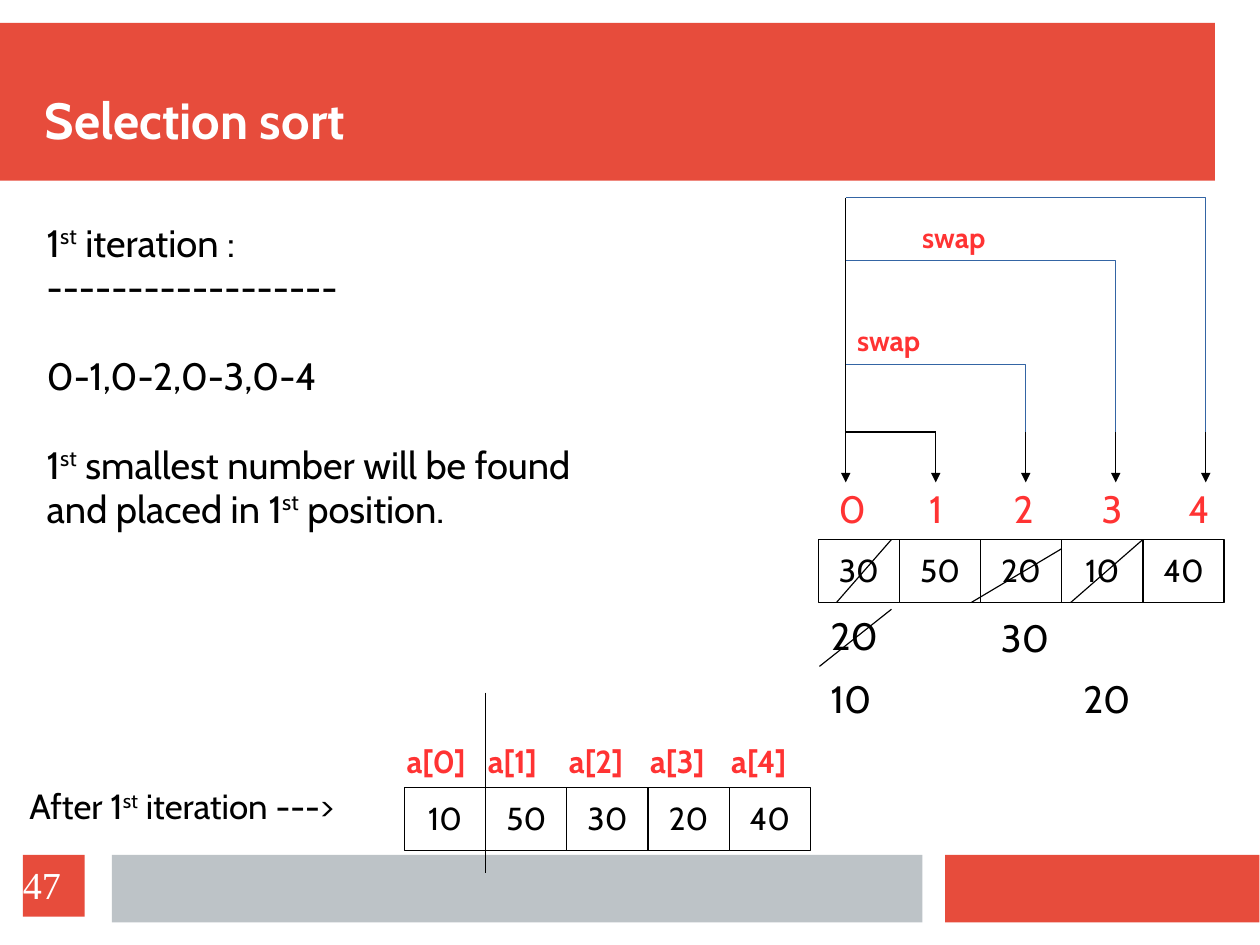
from dataclasses import dataclass

from lxml import etree
from pptx import Presentation
from pptx.dml.color import RGBColor
from pptx.enum.shapes import MSO_CONNECTOR, MSO_SHAPE
from pptx.enum.text import MSO_ANCHOR, PP_ALIGN
from pptx.oxml.ns import qn
from pptx.util import Emu, Inches, Pt

RECT = MSO_SHAPE.RECTANGLE
STRAIGHT, ELBOW = MSO_CONNECTOR.STRAIGHT, MSO_CONNECTOR.ELBOW
TOP, MIDDLE, BOTTOM = MSO_ANCHOR.TOP, MSO_ANCHOR.MIDDLE, MSO_ANCHOR.BOTTOM
LEFT, CENTER = PP_ALIGN.LEFT, PP_ALIGN.CENTER


@dataclass(frozen=True)
class Theme:
    font: str = "Cabin"
    number_font: str = "Times New Roman"
    red: str = "E74C3C"
    grey: str = "BDC3C7"
    label: str = "FF3333"
    swap_blue: str = "3465A4"
    black: str = "000000"
    white: str = "FFFFFF"
    title: int = 32
    body: int = 24
    caption: int = 22
    cell: int = 20
    swap: int = 18
    line: float = 0.75
    spacing: float = 0.97


T = Theme()
CELL_W, CELL_H = 0.71, 0.55


def write(tf, lines, size, color=T.black, bold=False, align=LEFT,
          anchor=TOP, font=T.font, inset=(0.1, 0.05)):
    tf.word_wrap = True
    tf.vertical_anchor = anchor
    tf.margin_left = tf.margin_right = Inches(inset[0])
    tf.margin_top = tf.margin_bottom = Inches(inset[1])
    for i, line in enumerate(lines):
        p = tf.paragraphs[0] if i == 0 else tf.add_paragraph()
        p.alignment, p.line_spacing = align, T.spacing
        p.font.name, p.font.size, p.font.bold = font, Pt(size), bold
        p.font.color.rgb = RGBColor.from_string(color)
        for j, part in enumerate(line.split("^")):
            r = p.add_run()
            r.text = part
            if j % 2:
                r.font._element.set("baseline", "33000")


def add_text(s, x, y, w, h, lines, size, **style):
    sp = s.shapes.add_textbox(Inches(x), Inches(y), Inches(w), Inches(h))
    write(sp.text_frame, lines, size, **style)
    return sp.text_frame


def add_rect(s, x, y, w, h, fill, outline=None):
    sp = s.shapes.add_shape(RECT, Inches(x), Inches(y), Inches(w), Inches(h))
    sp.shadow.inherit = False
    sp.fill.solid()
    sp.fill.fore_color.rgb = RGBColor.from_string(fill)
    if outline:
        sp.line.color.rgb = RGBColor.from_string(outline)
        sp.line.width = Pt(T.line)
    else:
        sp.line.fill.background()
    return sp.text_frame


def add_line(s, x1, y1, x2, y2, color=T.black, arrow=False, bent=False):
    sp = s.shapes.add_connector(ELBOW if bent else STRAIGHT, Inches(x1),
                                Inches(y1), Inches(x2), Inches(y2))
    sp.line.color.rgb = RGBColor.from_string(color)
    sp.line.width = Pt(T.line)
    spPr = sp.element.spPr
    if bent:
        spPr.find(qn("a:prstGeom")).set("prst", "bentConnector2")
    if arrow:
        ln = spPr.find(qn("a:ln"))
        etree.SubElement(ln, qn("a:tailEnd"), type="triangle")
    etree.SubElement(spPr, qn("a:effectLst"))


def add_header(s, x, y, w, h):
    add_rect(s, x, y, w, h, T.red)
    add_text(s, x + 0.39, y + 0.19, w - 0.54, 0.93, ["Selection sort"],
             T.title, color=T.white, bold=True, anchor=BOTTOM, inset=(0, 0))


def add_footer(s, x, y, w, h):
    add_rect(s, x + 8.27, y, w - 8.27, h, T.red)
    add_rect(s, x + 0.98, y, 7.09, h, T.grey)
    tf = add_rect(s, x + 0.2, y, 0.54, 0.54, T.red)
    write(tf, ["47"], T.body, color=T.white, anchor=MIDDLE,
          font=T.number_font, inset=(0, 0))


def add_explanation(s, x, y, w, h):
    lines = ["1^st^ iteration :", "------------------", "0-1,0-2,0-3,0-4",
             "1^st^ smallest number will be found",
             "and placed in 1^st^ position."]
    tf = add_text(s, x, y, w, h, lines, T.body)
    for p in tf.paragraphs[2:4]:
        p.space_before = Pt(28)


def add_array(s, x, y, values):
    for i, value in enumerate(values):
        tf = add_rect(s, x + i * CELL_W, y, CELL_W, CELL_H, T.white, T.black)
        write(tf, [value], T.cell, align=CENTER, anchor=MIDDLE)


def add_swap_lines(s, x, y, w, h):
    pitch, base = w / 4, y + 2.05
    add_line(s, x, y, x, base)
    add_line(s, x, base, x + pitch, base)
    for i in range(5):
        add_line(s, x + i * pitch, base, x + i * pitch, y + h, arrow=True)
    for i, drop in ((2, 1.46), (3, 0.55), (4, 0)):
        add_line(s, x, y + drop, x + i * pitch, base, T.swap_blue, bent=True)
    for dx, dy in ((0.57, 0.16), (0, 1.06)):
        add_text(s, x + dx, y + dy, 0.92, 0.4, ["swap"], T.swap,
                 color=T.label, bold=True)


def add_working_array(s, x, y):
    add_array(s, x, y, ["30", "50", "20", "10", "40"])
    for i, dx in enumerate((0.08, 0.87, 1.61, 2.38, 3.14)):
        add_text(s, x + dx, y - 0.5, 0.41, 0.5, [str(i)], T.body,
                 color=T.label)
    for value, dx, dy in (("20", 0.01, 0.61), ("30", 1.5, 0.63),
                          ("10", 0.01, 1.16), ("20", 2.22, 1.16)):
        add_text(s, x + dx, y + dy, 0.62, 0.5, [value], T.body)
    for x1, y1, x2, y2 in ((0.64, 0, 0.16, 0.55), (2.13, 0.08, 1.34, 0.55),
                           (0.64, 0.61, 0.01, 1.11), (2.84, 0, 2.21, 0.55)):
        add_line(s, x + x1, y + y1, x + x2, y + y2)


def add_result(s, x, y):
    add_text(s, x, y - 0.05, 3.3, 0.47, ["After 1^st^ iteration --->"],
             T.caption)
    left = x + 3.38
    add_array(s, left, y, ["10", "50", "30", "20", "40"])
    for i in range(5):
        add_text(s, left - 0.08 + i * CELL_W, y - 0.43, 0.83, 0.43,
                 [f"a[{i}]"], T.cell, color=T.label, bold=True)
    add_line(s, left + CELL_W, y - 0.83, left + CELL_W, y + 0.75)


def main():
    prs = Presentation()
    prs.slide_width = Emu(10080625)
    prs.slide_height = Emu(7559675)
    s = prs.slides.add_slide(prs.slide_layouts[6])
    add_header(s, 0, 0.2, 10.63, 1.38)
    add_footer(s, 0, 7.48, 11.02, 0.59)
    add_explanation(s, 0.31, 1.89, 5.58, 2.83)
    add_swap_lines(s, 7.4, 1.73, 3.15, 2.49)
    add_working_array(s, 7.16, 4.72)
    add_result(s, 0.16, 6.89)
    prs.save("out.pptx")


if __name__ == "__main__":
    main()
